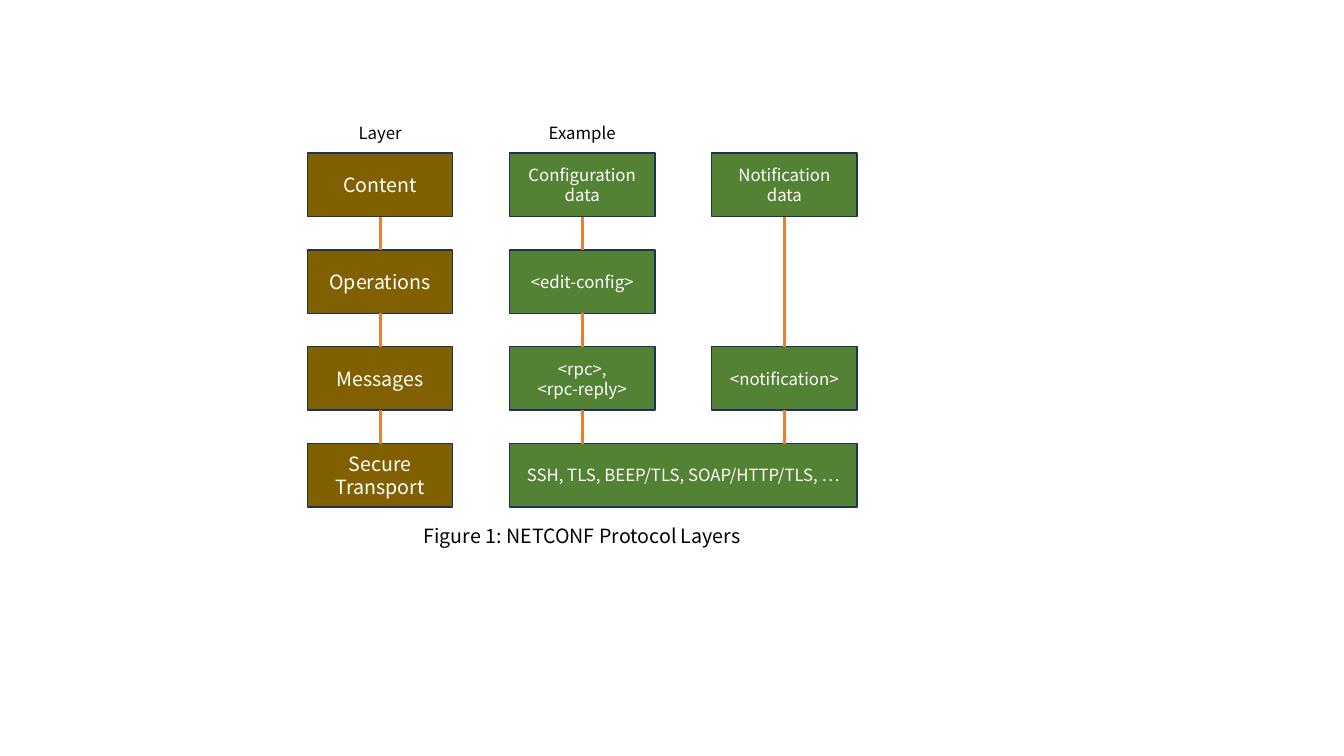
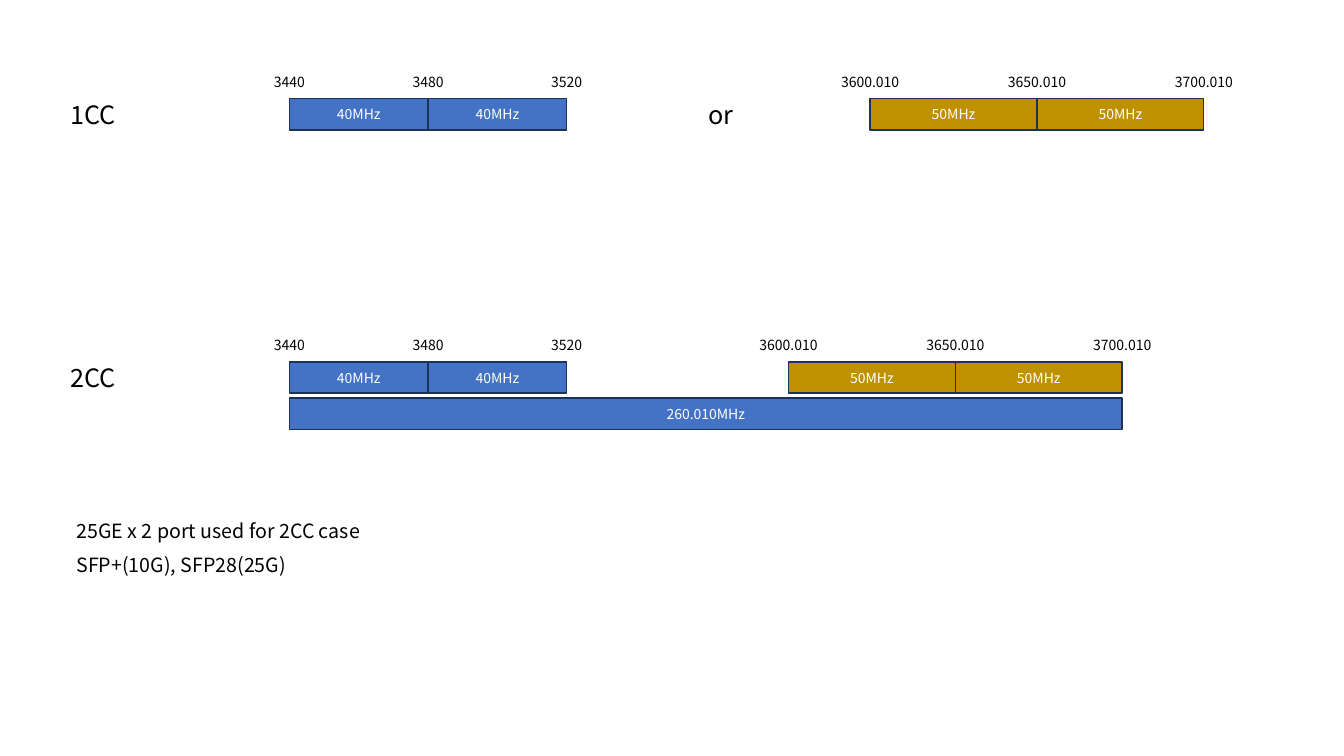
import pptx
import pptx.dml.color
import pptx.enum.shapes
import pptx.enum.text
import pptx.util
from lxml import etree

Inches = pptx.util.Inches
Pt = pptx.util.Pt
RGBColor = pptx.dml.color.RGBColor
Align = pptx.enum.text.PP_ALIGN
Anchor = pptx.enum.text.MSO_ANCHOR

# Shared style
FONT = "Noto Sans CJK KR"
LINE_PITCH = 1.2
BLACK = RGBColor(0x00, 0x00, 0x00)
WHITE = RGBColor(0xFF, 0xFF, 0xFF)
OUTLINE = RGBColor(0x1E, 0x32, 0x56)
BROWN = RGBColor(0x80, 0x60, 0x00)
GREEN = RGBColor(0x54, 0x82, 0x35)
ORANGE = RGBColor(0xED, 0x7D, 0x31)
BLUE = RGBColor(0x44, 0x72, 0xC4)
GOLD = RGBColor(0xBF, 0x90, 0x00)

# Layer diagram grid
GRID_LEFT, GRID_TOP = 3.05, 1.52
COLUMN_STEP, ROW_STEP = 2.005, 0.96
BOX_WIDTH, BOX_HEIGHT = 1.44, 0.63

# Spectrum bars
BAR_HEIGHT = 0.31
MARK_WIDTH = 0.85
SPECTRUM_LEFT = 2.87
LOW_WIDTH, HIGH_WIDTH = 1.375, 1.655


def write_text(frame, text, size=12, color=BLACK, align=Align.CENTER):
    """Fill a text frame, one paragraph for each line of text."""
    frame.word_wrap = True
    for index, line in enumerate(text.split("\n")):
        para = frame.paragraphs[0] if index == 0 else frame.add_paragraph()
        para.alignment = align
        para.line_spacing = Pt(size * LINE_PITCH)
        span = para.add_run()
        span.text = line
        span.font.name = FONT
        span.font.size = Pt(size)
        span.font.color.rgb = color


def add_label(page, left, top, width, text, size=12, **style):
    height = size * LINE_PITCH / 72 + 0.1
    box = page.shapes.add_textbox(Inches(left), Inches(top),
                                  Inches(width), Inches(height))
    write_text(box.text_frame, text, size=size, **style)
    box.text_frame.auto_size = pptx.enum.text.MSO_AUTO_SIZE.SHAPE_TO_FIT_TEXT


def add_box(page, left, top, width, height, text, fill, size=12):
    box = page.shapes.add_shape(
        pptx.enum.shapes.MSO_SHAPE.RECTANGLE,
        Inches(left), Inches(top), Inches(width), Inches(height))
    box.shadow.inherit = False
    box.fill.solid()
    box.fill.fore_color.rgb = fill
    box.line.color.rgb = OUTLINE
    box.line.width = Pt(1)
    box.text_frame.vertical_anchor = Anchor.MIDDLE
    write_text(box.text_frame, text, size=size, color=WHITE)


def add_link(page, x, top, bottom):
    link = page.shapes.add_connector(
        pptx.enum.shapes.MSO_CONNECTOR.STRAIGHT,
        Inches(x), Inches(top), Inches(x), Inches(bottom))
    link.line.color.rgb = ORANGE
    link.line.width = Pt(2.25)
    properties = link._element.spPr
    etree.SubElement(properties, pptx.oxml.ns.qn("a:effectLst"))


def column_left(column):
    return GRID_LEFT + column * COLUMN_STEP


def row_top(row):
    return GRID_TOP + row * ROW_STEP


def add_layer_box(page, column, row, text, fill, size, columns=1):
    width = BOX_WIDTH + (columns - 1) * COLUMN_STEP
    add_box(page, column_left(column), row_top(row), width, BOX_HEIGHT,
            text, fill, size=size)


def add_band(page, left, top, width, text, fill, marks):
    """Draw adjoining carriers with a frequency over each edge."""
    for index, mark in enumerate(marks):
        edge = left + index * width
        if index < len(marks) - 1:
            add_box(page, edge, top, width, BAR_HEIGHT, text, fill, size=10)
        add_label(page, edge - MARK_WIDTH / 2, top - 0.3, MARK_WIDTH, mark,
                  size=10)


def build_layers(page):
    # Boxes: column, fill, text size and text by row
    stacks = [
        (BROWN, 14, {0: "Content", 1: "Operations", 2: "Messages",
                     3: "Secure\nTransport"}),
        (GREEN, 12, {0: "Configuration\ndata", 1: "<edit-config>",
                     2: "<rpc>,\n<rpc-reply>"}),
        (GREEN, 12, {0: "Notification\ndata", 2: "<notification>"}),
    ]
    for column, (fill, size, texts) in enumerate(stacks):
        for row, text in texts.items():
            add_layer_box(page, column, row, text, fill, size)
    add_layer_box(page, 1, 3, "SSH, TLS, BEEP/TLS, SOAP/HTTP/TLS, …",
                  GREEN, 12, columns=2)

    # Links between neighbouring boxes of a column
    for column, (fill, size, texts) in enumerate(stacks):
        rows = sorted(set(texts) | {3})
        for upper, lower in zip(rows, rows[1:]):
            add_link(page, column_left(column) + BOX_WIDTH / 2,
                     row_top(upper) + BOX_HEIGHT, row_top(lower))

    # Headings and caption
    for column, heading in enumerate(["Layer", "Example"]):
        add_label(page, column_left(column), 1.17, BOX_WIDTH, heading)
    add_label(page, GRID_LEFT, 5.15, BOX_WIDTH + 2 * COLUMN_STEP,
              "Figure 1: NETCONF Protocol Layers", size=14)


def build_spectrum(page):
    # One row for each carrier count
    for name, top, high_left in [("1CC", 0.98, 8.63), ("2CC", 3.59, 7.82)]:
        add_label(page, 0.35, top - 0.04, 1.14, name, size=18)
        add_band(page, SPECTRUM_LEFT, top, LOW_WIDTH, "40MHz", BLUE,
                 ["3440", "3480", "3520"])
        add_band(page, high_left, top, HIGH_WIDTH, "50MHz", GOLD,
                 ["3600.010", "3650.010", "3700.010"])
    add_label(page, 6.58, 0.94, 1.14, "or", size=18)
    add_box(page, SPECTRUM_LEFT, 3.95, 8.26, BAR_HEIGHT, "260.010MHz", BLUE,
            size=10)

    # Port remarks
    remarks = ["25GE x 2 port used for 2CC case", "SFP+(10G), SFP28(25G)"]
    for index, remark in enumerate(remarks):
        add_label(page, 0.66, 5.1 + index * 0.34, 5.26, remark, size=14,
                  align=Align.LEFT)


def main():
    deck = pptx.Presentation()
    deck.slide_width = Inches(13.33)
    deck.slide_height = Inches(7.5)
    blank = deck.slide_layouts[6]
    for build in (build_layers, build_spectrum):
        build(deck.slides.add_slide(blank))
    deck.save("out.pptx")


if __name__ == "__main__":
    main()
